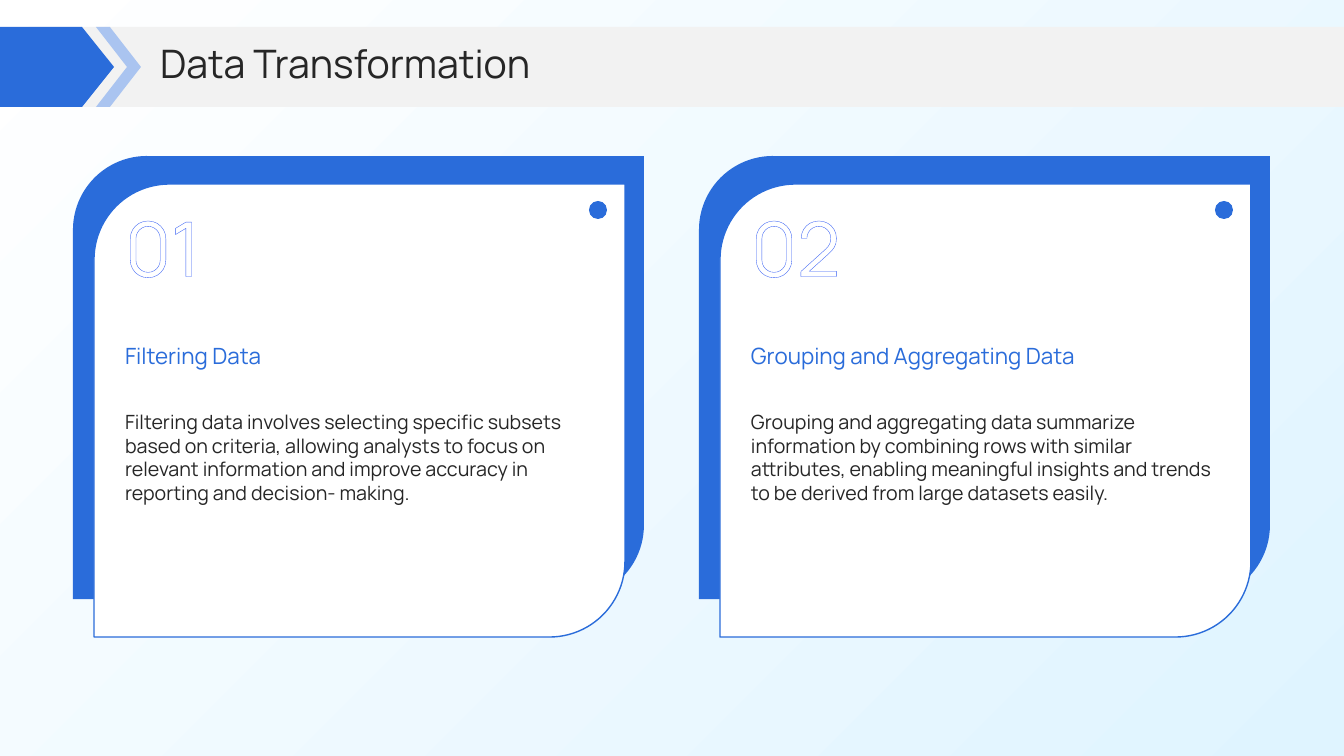
from dataclasses import dataclass

from lxml.etree import SubElement
from pptx import Presentation
from pptx.dml.color import RGBColor
from pptx.enum.shapes import MSO_SHAPE
from pptx.enum.text import MSO_ANCHOR, MSO_AUTO_SIZE, PP_ALIGN
from pptx.oxml.ns import qn
from pptx.util import Emu, Pt


@dataclass(frozen=True)
class Theme:
    font: str = "Manrope"
    blue: str = "2A6CDA"
    pale_blue: str = "AAC4F0"
    outline: str = "3860F4"
    sky: str = "DFF4FF"
    white: str = "FFFFFF"
    band: str = "F2F2F2"
    ink: str = "262626"
    title: int = 28
    number: int = 54
    heading: int = 16
    body: int = 14


theme = Theme()
PX = 914400 / 100.8

deck = Presentation()
deck.slide_width, deck.slide_height = Emu(12192000), Emu(6858000)
slide = deck.slides.add_slide(deck.slide_layouts[5])
shapes = slide.shapes


def write(text, *, at, size, color, anchor=MSO_ANCHOR.TOP, outline=None, holder=None):
    left, top, width, height = [Emu(round(v * PX)) for v in at]
    holder = holder or shapes.add_textbox(left, top, width, height)
    holder.left, holder.top, holder.width, holder.height = left, top, width, height
    frame = holder.text_frame
    frame.word_wrap = True
    frame.auto_size = MSO_AUTO_SIZE.NONE
    frame.vertical_anchor = anchor
    frame.margin_left = frame.margin_right = frame.margin_top = frame.margin_bottom = 0
    paragraph = frame.paragraphs[0]
    paragraph.alignment = PP_ALIGN.LEFT
    run = paragraph.add_run()
    run.text = text
    run.font.name = theme.font
    run.font.size = Pt(size)
    run.font.color.rgb = RGBColor.from_string(color)
    if outline:
        properties = run.font._element
        stroke = SubElement(properties, qn("a:ln"), w=str(Pt(1.25)))
        fill = SubElement(stroke, qn("a:solidFill"))
        SubElement(fill, qn("a:srgbClr"), val=outline)
        properties.insert(0, stroke)


def draw(kind, at, color, line=None):
    shape = shapes.add_shape(kind, *[Emu(round(v * PX)) for v in at])
    shape.shadow.inherit = False
    shape.fill.solid()
    shape.fill.fore_color.rgb = RGBColor.from_string(color)
    if line:
        shape.line.color.rgb = RGBColor.from_string(line)
        shape.line.width = Pt(1)
    else:
        shape.line.fill.background()
    return shape


backdrop = draw(MSO_SHAPE.RECTANGLE, (0, 0, 1344, 756), theme.white)
backdrop.fill.gradient()
backdrop.fill.gradient_angle = 315
for stop, position, color in zip(
    backdrop.fill.gradient_stops, (0, 1), (theme.white, theme.sky)
):
    stop.position = position
    stop.color.rgb = RGBColor.from_string(color)

cards = [
    (
        "01",
        "Filtering Data",
        "Filtering data involves selecting specific subsets based on criteria, "
        "allowing analysts to focus on relevant information and improve accuracy "
        "in reporting and decision- making.",
    ),
    (
        "02",
        "Grouping and Aggregating Data",
        "Grouping and aggregating data summarize information by combining rows "
        "with similar attributes, enabling meaningful insights and trends to be "
        "derived from large datasets easily.",
    ),
]
for index, (number, heading, body) in enumerate(cards):
    left = 73 + index * 626
    text_left = left + 52
    draw(MSO_SHAPE.ROUND_2_DIAG_RECTANGLE, (left, 156, 571, 443), theme.blue)
    draw(
        MSO_SHAPE.ROUND_2_DIAG_RECTANGLE,
        (left + 21, 184, 531, 453),
        theme.white,
        line=theme.blue,
    )
    write(
        number,
        at=(text_left, 201, 136, 117),
        size=theme.number,
        color=theme.white,
        outline=theme.outline,
    )
    write(body, at=(text_left, 410, 473, 183), size=theme.body, color=theme.ink)
    draw(MSO_SHAPE.OVAL, (left + 516, 201, 18, 18), theme.blue)
    write(
        heading,
        at=(text_left, 306, 473, 100),
        size=theme.heading,
        color=theme.blue,
        anchor=MSO_ANCHOR.MIDDLE,
    )

draw(MSO_SHAPE.RECTANGLE, (29, 27, 1315, 80), theme.band)

arrow_outline = shapes.build_freeform(0, 27, scale=PX)
arrow_outline.add_line_segments([(82, 27), (114, 67), (82, 107), (0, 107)], close=True)
arrow = arrow_outline.convert_to_shape()
arrow.shadow.inherit = False
arrow.fill.solid()
arrow.fill.fore_color.rgb = RGBColor.from_string(theme.blue)
arrow.line.fill.background()

title = shapes.title
arrow._element.addnext(title._element)
write(
    "Data Transformation",
    at=(160, 39, 1143, 47),
    size=theme.title,
    color=theme.ink,
    anchor=MSO_ANCHOR.MIDDLE,
    holder=title,
)

chevron = draw(MSO_SHAPE.CHEVRON, (96, 27, 45, 80), theme.pale_blue)
chevron.adjustments[0] = 0.69

deck.save("out.pptx")
